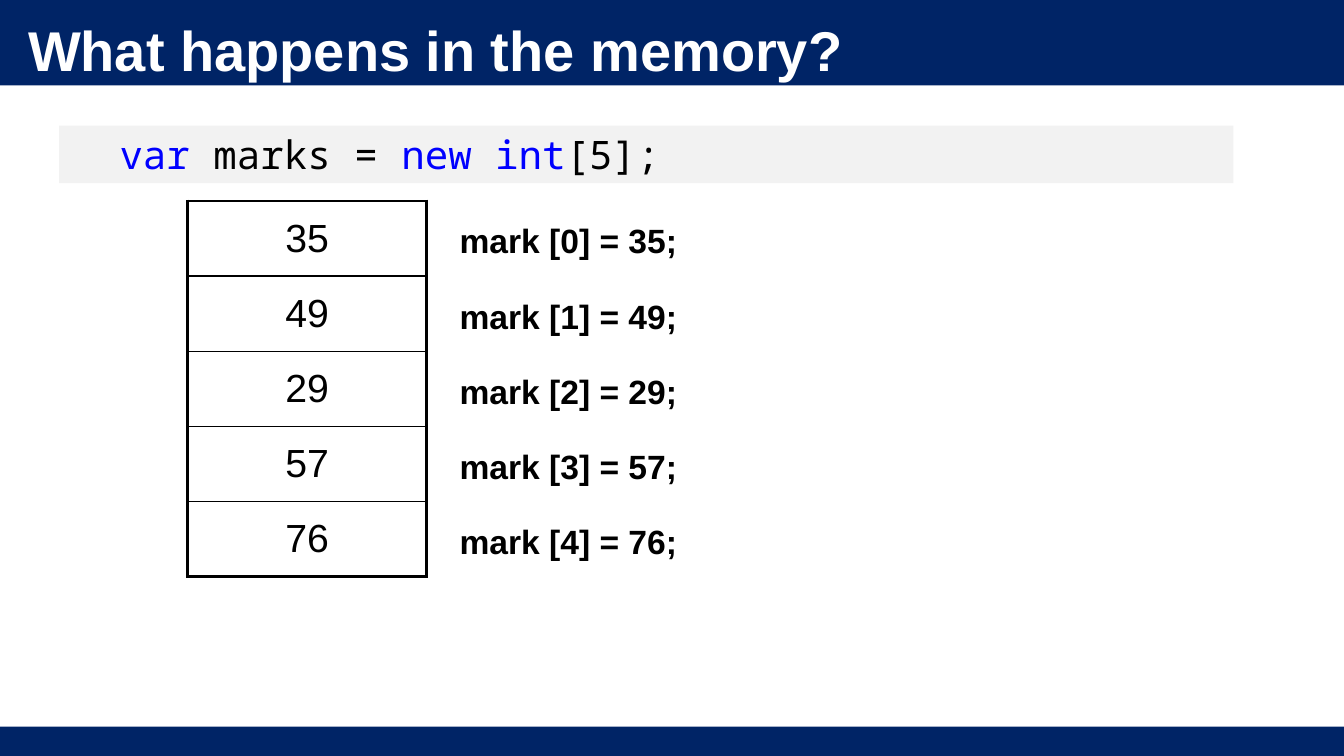
from dataclasses import dataclass

from lxml import etree
from pptx import Presentation
from pptx.dml import color
from pptx.enum import shapes, text
from pptx.oxml import ns
from pptx.util import Pt

NAVY, WHITE, BLACK = "002466", "FFFFFF", "000000"
KEYWORD, CODE_GREY = "0000FF", "F2F2F2"
WIDTH, HEIGHT = 960, 540
MARKS = [35, 49, 29, 57, 76]
ROW_HEIGHT = 53.7
THIN, THICK = 1, 2.25


@dataclass
class Box:
    left: float
    top: float
    width: float
    height: float

    def lengths(self) -> tuple:
        return Pt(self.left), Pt(self.top), Pt(self.width), Pt(self.height)


@dataclass
class Style:
    size: float
    color: str = BLACK
    font: str = "Arial"
    bold: bool = False


def rgb(value: str) -> color.RGBColor:
    return color.RGBColor.from_string(value)


def add_span(para, words: str, style: Style) -> None:
    span = para.add_run()
    span.text = words
    span.font.name = style.font
    span.font.size = Pt(style.size)
    span.font.bold = style.bold
    span.font.color.rgb = rgb(style.color)


def add_bar(page, box: Box, fill: str):
    bar = page.shapes.add_shape(shapes.MSO_SHAPE.RECTANGLE, *box.lengths())
    bar.shadow.inherit = False
    bar.fill.solid()
    bar.fill.fore_color.rgb = rgb(fill)
    bar.line.fill.background()
    return bar


def add_label(page, box: Box, words: str, style: Style) -> None:
    label = page.shapes.add_textbox(*box.lengths())
    label.text_frame.word_wrap = False
    add_span(label.text_frame.paragraphs[0], words, style)


def set_borders(cell, widths: dict[str, float]) -> None:
    properties = cell._tc.get_or_add_tcPr()
    for position, (side, width) in enumerate(widths.items()):
        line = etree.Element(ns.qn(f"a:ln{side}"), w=str(Pt(width)))
        fill = etree.SubElement(line, ns.qn("a:solidFill"))
        etree.SubElement(fill, ns.qn("a:srgbClr"), val=BLACK)
        properties.insert(position, line)


deck = Presentation()
deck.slide_width, deck.slide_height = Pt(WIDTH), Pt(HEIGHT)
page = deck.slides.add_slide(deck.slide_layouts[5])

# Header and footer bands
add_bar(page, Box(0, 0, WIDTH, 61), NAVY)
add_bar(page, Box(0, 519, WIDTH, 21), NAVY)

# Title, brought in front of the header band
title = page.shapes.title
title.element.getparent().append(title.element)
title.left, title.top, title.width, title.height = Box(12.8, 10, 677, 41).lengths()
title.text_frame.auto_size = text.MSO_AUTO_SIZE.NONE
title.text_frame.vertical_anchor = text.MSO_ANCHOR.MIDDLE
para = title.text_frame.paragraphs[0]
para.alignment = text.PP_ALIGN.LEFT
para.line_spacing = 1.2
para.space_before = Pt(10)
add_span(para, "What happens in the memory?", Style(40, WHITE, bold=True))

# Code line
code = add_bar(page, Box(42.3, 89.8, 838.7, 41), CODE_GREY)
code.text_frame.word_wrap = True
code.text_frame.vertical_anchor = text.MSO_ANCHOR.TOP
para = code.text_frame.paragraphs[0]
para.alignment = text.PP_ALIGN.LEFT
para.space_after = Pt(24)
para._p.get_or_add_pPr().set("marL", str(Pt(36)))
for words, ink in [("var", KEYWORD), (" marks = ", BLACK),
                   ("new int", KEYWORD), ("[5];", BLACK)]:
    add_span(para, words, Style(28, ink, "Noto Sans Mono"))

# Memory cells
memory = Box(134, 143.5, 170.6, ROW_HEIGHT * len(MARKS))
table = page.shapes.add_table(len(MARKS), 1, *memory.lengths()).table
table.first_row = table.horz_banding = False
for index, mark in enumerate(MARKS):
    table.rows[index].height = Pt(ROW_HEIGHT)
    cell = table.cell(index, 0)
    cell.fill.background()
    cell.vertical_anchor = text.MSO_ANCHOR.MIDDLE
    para = cell.text_frame.paragraphs[0]
    para.alignment = text.PP_ALIGN.CENTER
    add_span(para, str(mark), Style(28))
    set_borders(cell, {
        "L": THICK,
        "R": THICK,
        "T": THICK if index == 0 else THIN,
        "B": THICK if index == len(MARKS) - 1 else THIN,
    })

# Assignment beside each cell
for index, mark in enumerate(MARKS):
    add_label(page, Box(321.2, 153.8 + index * ROW_HEIGHT, 171.4, 36),
              f"mark [{index}] = {mark};", Style(24, bold=True))

deck.save("out.pptx")
